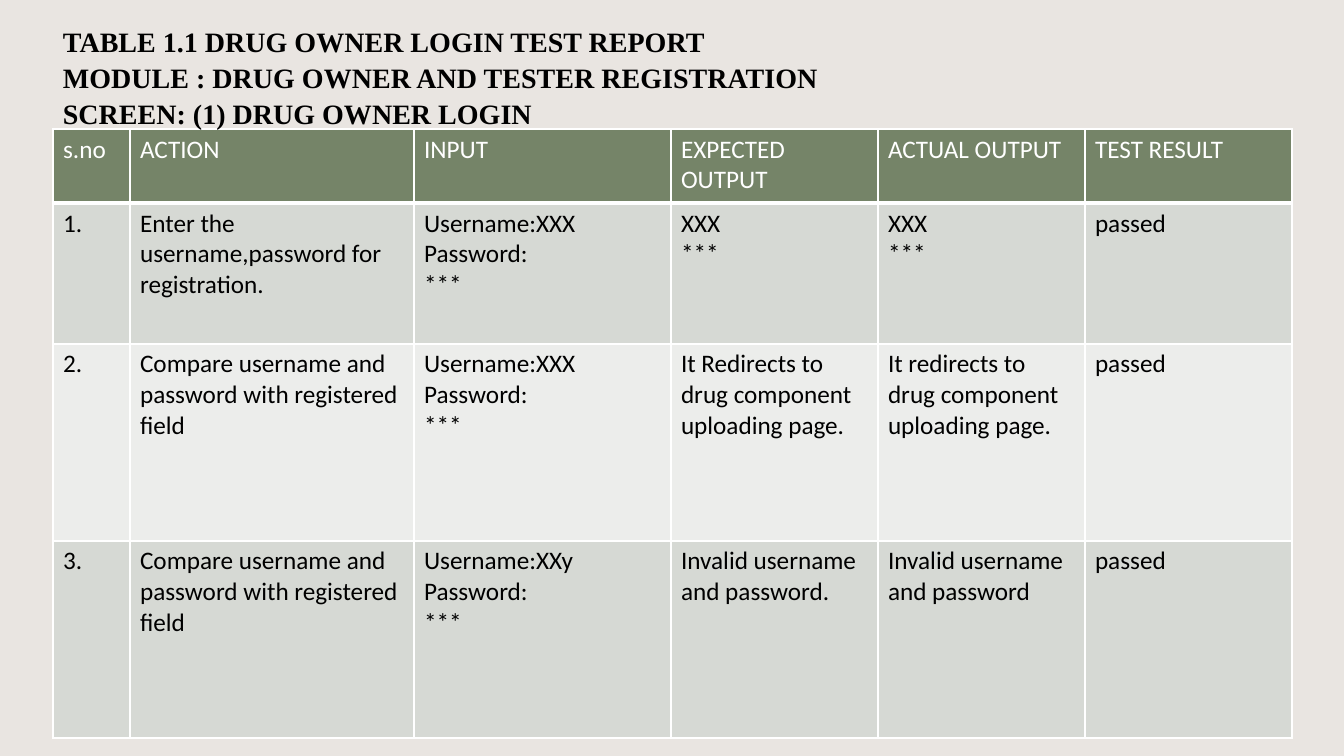
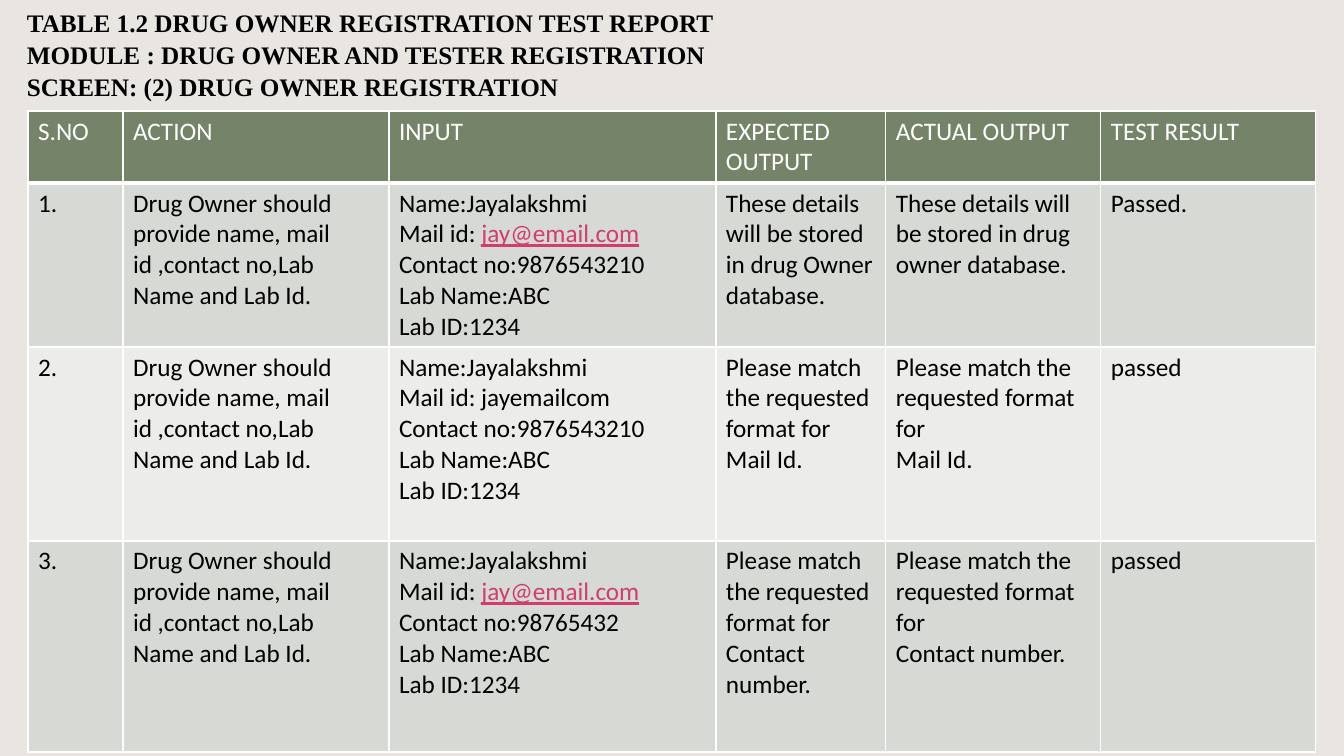
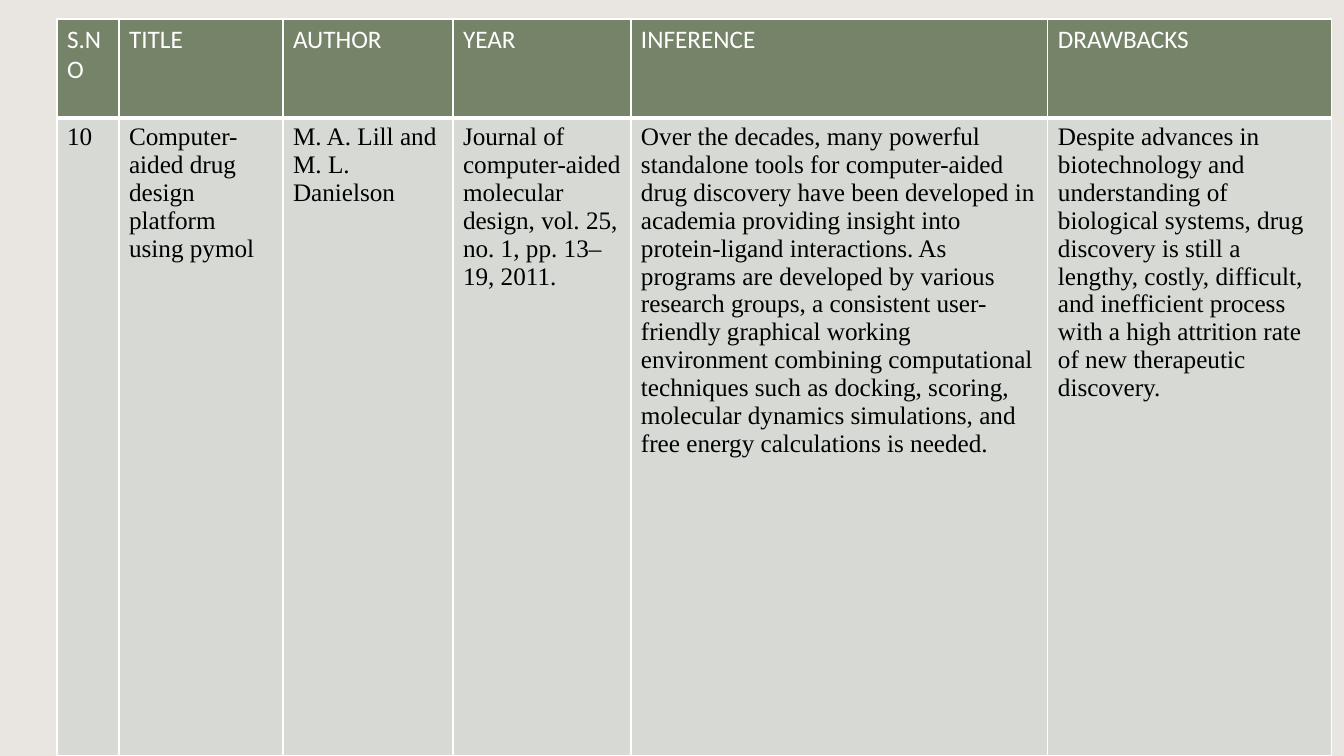
from dataclasses import dataclass

from lxml import etree
from pptx import Presentation
from pptx import util as u
from pptx.dml.color import RGBColor
from pptx.enum import text
from pptx.oxml import ns

# Shared look
SLIDE_W, SLIDE_H = 1344, 756
SCALE = 12192000 / SLIDE_W
BACKDROP = RGBColor(0xE9, 0xE5, 0xE1)
HEADER = RGBColor(0x75, 0x84, 0x68)
BANDS = (RGBColor(0xD6, 0xD9, 0xD4), RGBColor(0xEC, 0xED, 0xEB))
WHITE = RGBColor(0xFF, 0xFF, 0xFF)
BLACK = RGBColor(0, 0, 0)
MAIL_COLOR = RGBColor(0xD1, 0x3D, 0x6E)
SANS, SERIF = "Calibri", "Times New Roman"
CELL_SIZE = 18

# Wording used in several cells
MAIL = "jay@email.com"
MODULE = "MODULE : DRUG OWNER AND TESTER REGISTRATION"
OUTCOMES = ["EXPECTED OUTPUT", "ACTUAL OUTPUT", "TEST RESULT"]
COMPARE = "Compare username and password with registered field"
PROVIDE = "Drug Owner should provide name, mail id ,contact no,Lab Name and Lab Id."
MISMATCH = "Please match the requested format for\n"


@dataclass
class Heading:
    left: int
    top: int
    width: int
    height: int
    size: int
    lines: list[str]


@dataclass
class Grid:
    left: int
    top: int
    col_widths: list[int]
    row_heights: list[int]
    rows: list[list[str]]
    body_font: str = SANS


@dataclass
class Page:
    grid: Grid
    heading: Heading | None = None


def px(n: int) -> u.Emu:
    return u.Emu(round(n * SCALE))


def login(user: str) -> str:
    return f"Username:{user}\nPassword:\n***"


def owner(mail: str, contact: str) -> str:
    return (f"Name:Jayalakshmi\nMail id: {mail}\nContact no:{contact}\n"
            "Lab Name:ABC\nLab ID:1234")


PAGES = [
    Page(
        Grid(53, 129, [77, 284, 257, 207, 207, 207], [74, 141, 197, 197], [
            ["s.no", "ACTION", "INPUT", *OUTCOMES],
            ["1.", "Enter the username,password for registration.",
             login("XXX"), "XXX\n***", "XXX\n***", "passed"],
            ["2.", COMPARE, login("XXX"),
             "It Redirects to drug component uploading page.",
             "It redirects to drug component uploading page.", "passed"],
            ["3.", COMPARE, login("XXy"), "Invalid username and password.",
             "Invalid username and password", "passed"],
        ]),
        Heading(53, 17, 863, 112, 20, [
            "TABLE 1.1 DRUG OWNER LOGIN TEST REPORT", MODULE,
            "SCREEN: (1) DRUG OWNER LOGIN"]),
    ),
    Page(
        Grid(28, 111, [95, 266, 327, 170, 215, 215], [72, 164, 194, 211], [
            ["S.NO", "ACTION", "INPUT", *OUTCOMES],
            ["1.", PROVIDE, owner(MAIL, "9876543210"),
             "These details will be stored in drug Owner database.",
             "These details will be stored in drug owner database.", "Passed."],
            ["2.", PROVIDE, owner("jayemailcom", "9876543210"),
             MISMATCH + "Mail Id.", MISMATCH + "Mail Id.", "passed"],
            ["3.", PROVIDE, owner(MAIL, "98765432"),
             MISMATCH + "Contact number.", MISMATCH + "Contact number.", "passed"],
        ]),
        Heading(17, 0, 824, 102, 18, [
            "TABLE 1.2 DRUG OWNER REGISTRATION TEST REPORT", MODULE,
            "SCREEN: (2) DRUG OWNER REGISTRATION"]),
    ),
    Page(
        Grid(57, 19, [62, 164, 170, 178, 417, 284], [99, 638], [
            ["S.NO", "TITLE", "AUTHOR", "YEAR", "INFERENCE", "DRAWBACKS"],
            ["10", "Computer-aided drug design platform using pymol",
             "M. A. Lill and M. L. Danielson",
             "Journal of computer-aided molecular design, vol. 25, no. 1, "
             "pp. 13–19, 2011.",
             "Over the decades, many powerful standalone tools for computer-aided "
             "drug discovery have been developed in academia providing insight into "
             "protein-ligand interactions. As programs are developed by various "
             "research groups, a consistent user-friendly graphical working "
             "environment combining computational techniques such as docking, "
             "scoring, molecular dynamics simulations, and free energy calculations "
             "is needed.",
             "Despite advances in biotechnology and understanding of biological "
             "systems, drug discovery is still a lengthy, costly, difficult, and "
             "inefficient process with a high attrition rate of new therapeutic "
             "discovery."],
        ], SERIF),
    ),
]


def style(p, size: int, font: str, color: RGBColor, bold: bool = False) -> None:
    p.font.size = u.Pt(size)
    p.font.name = font
    p.font.color.rgb = color
    p.font.bold = bold


def add_heading(slide, heading: Heading) -> None:
    sp = slide.shapes.add_textbox(px(heading.left), px(heading.top),
                                  px(heading.width), px(heading.height))
    tf = sp.text_frame
    tf.word_wrap = True
    tf.auto_size = text.MSO_AUTO_SIZE.SHAPE_TO_FIT_TEXT
    tf.text = "\n".join(heading.lines)
    for p in tf.paragraphs:
        p.line_spacing = 1.07
        style(p, heading.size, SERIF, BLACK, bold=True)


def set_borders(cell, bottom: int) -> None:
    tc_pr = cell._tc.get_or_add_tcPr()
    for side, width in (("L", 1), ("R", 1), ("T", 1), ("B", bottom)):
        ln = etree.SubElement(tc_pr, ns.qn(f"a:ln{side}"), w=str(u.Pt(width)))
        fill = etree.SubElement(ln, ns.qn("a:solidFill"))
        etree.SubElement(fill, ns.qn("a:srgbClr"), val=str(WHITE))


def fill_cell(cell, content: str, font: str, color: RGBColor) -> None:
    tf = cell.text_frame
    tf.text = content
    for p in tf.paragraphs:
        style(p, CELL_SIZE, font, color)
        # The mail address stands out in its own run
        if p.text.endswith(MAIL):
            p.runs[0].text = p.text.removesuffix(MAIL)
            r = p.add_run()
            r.text = MAIL
            r.font.color.rgb = MAIL_COLOR
            r.font.underline = True


def add_grid(slide, grid: Grid) -> None:
    table = slide.shapes.add_table(
        len(grid.rows), len(grid.col_widths), px(grid.left), px(grid.top),
        px(sum(grid.col_widths)), px(sum(grid.row_heights))).table
    table.horz_banding = False
    for column, width in zip(table.columns, grid.col_widths):
        column.width = px(width)
    for i, (row, height) in enumerate(zip(table.rows, grid.row_heights)):
        row.height = px(height)
        is_header = i == 0
        for cell, content in zip(row.cells, grid.rows[i]):
            set_borders(cell, bottom=3 if is_header else 1)
            cell.fill.solid()
            cell.fill.fore_color.rgb = HEADER if is_header else BANDS[(i - 1) % 2]
            fill_cell(cell, content, SANS if is_header else grid.body_font,
                      WHITE if is_header else BLACK)


def main() -> None:
    prs = Presentation()
    prs.slide_width, prs.slide_height = px(SLIDE_W), px(SLIDE_H)
    backdrop = prs.slide_master.background.fill
    backdrop.solid()
    backdrop.fore_color.rgb = BACKDROP
    for page in PAGES:
        slide = prs.slides.add_slide(prs.slide_layouts[6])
        add_grid(slide, page.grid)
        if page.heading:
            add_heading(slide, page.heading)
    prs.save("out.pptx")


if __name__ == "__main__":
    main()
